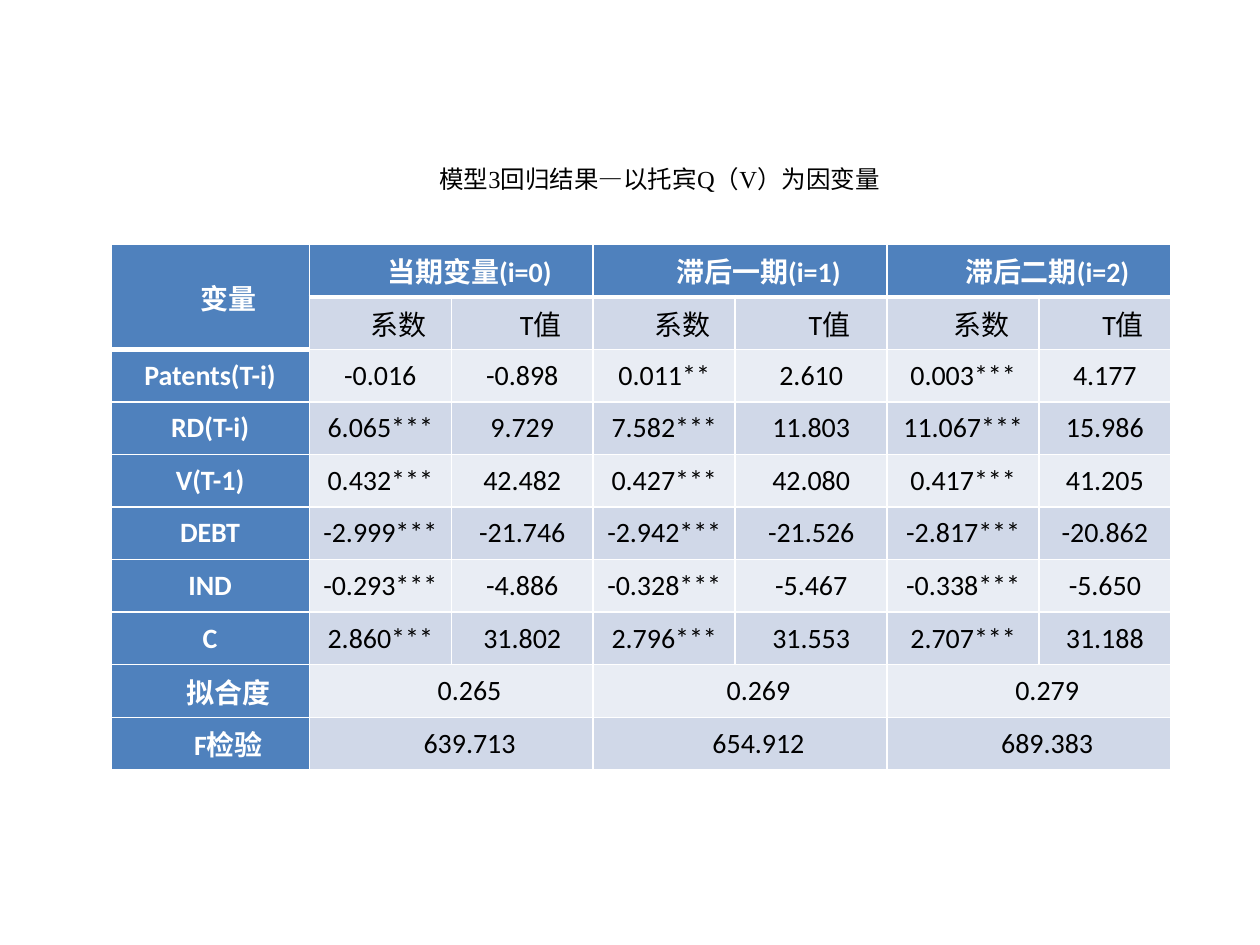
import pptx
import pptx.dml.color
import pptx.enum.text
import pptx.oxml
import pptx.oxml.ns
import pptx.util

WHITE = pptx.dml.color.RGBColor(0xFF, 0xFF, 0xFF)
BLACK = pptx.dml.color.RGBColor(0x00, 0x00, 0x00)
BLUE = pptx.dml.color.RGBColor(0x4F, 0x81, 0xBD)
BANDS = (pptx.dml.color.RGBColor(0xE9, 0xED, 0xF4),
         pptx.dml.color.RGBColor(0xD0, 0xD8, 0xE8))

CAPTION = "模型3回归结果—以托宾Q（V）为因变量"
PERIODS = ["当期变量(i=0)", "滞后一期(i=1)", "滞后二期(i=2)"]
ESTIMATES = [
    ["Patents(T-i)", "-0.016", "-0.898", "0.011**", "2.610", "0.003***", "4.177"],
    ["RD(T-i)", "6.065***", "9.729", "7.582***", "11.803", "11.067***", "15.986"],
    ["V(T-1)", "0.432***", "42.482", "0.427***", "42.080", "0.417***", "41.205"],
    ["DEBT", "-2.999***", "-21.746", "-2.942***", "-21.526", "-2.817***", "-20.862"],
    ["IND", "-0.293***", "-4.886", "-0.328***", "-5.467", "-0.338***", "-5.650"],
    ["C", "2.860***", "31.802", "2.796***", "31.553", "2.707***", "31.188"],
]
FIT_TESTS = [["拟合度", "0.265", "0.269", "0.279"],
             ["F检验", "639.713", "654.912", "689.383"]]
COLUMN_WIDTHS = [15.75, 11.27, 11.27, 11.27, 12.06, 12.06, 10.44]
ROW_HEIGHT = 4.17


def across_periods(label, values):
    """Spread one value per period over that period's two columns."""
    return [label] + [entry for value in values for entry in (value, None)]


class RegressionSlide:
    """Style and slide, measured on a grid of 100 columns by 75 rows."""

    def __init__(self, deck):
        self.column = deck.slide_width / 100
        self.row = deck.slide_height / 75
        self.slide = deck.slides.add_slide(deck.slide_layouts[5])

    def box(self, left, top, width, height):
        return (round(left * self.column), round(top * self.row),
                round(width * self.column), round(height * self.row))

    def apply(self, target, formats):
        for name, value in formats.items():
            setattr(target, name, value)

    def wording(self, frame, words, color, indented, formats):
        paragraph = frame.paragraphs[0]
        paragraph.alignment = pptx.enum.text.PP_ALIGN.CENTER
        if indented:
            paragraph._p.get_or_add_pPr().set("indent", str(int(pptx.util.Inches(0.29))))
        run = paragraph.add_run()
        run.text = words
        self.apply(run.font, formats)
        run.font.color.rgb = color

    def caption(self, words, *place):
        title = self.slide.shapes.title
        self.apply(title, dict(zip(("left", "top", "width", "height"), self.box(*place))))
        self.apply(title.text_frame, {
            "word_wrap": True, "margin_top": 0, "margin_bottom": 0,
            "auto_size": pptx.enum.text.MSO_AUTO_SIZE.NONE,
            "vertical_anchor": pptx.enum.text.MSO_ANCHOR.TOP})
        self.wording(title.text_frame, words, BLACK, True,
                     {"name": "Times New Roman", "size": pptx.util.Pt(14), "bold": False})

    def border(self, cell, edge, points):
        cell._tc.get_or_add_tcPr().append(pptx.oxml.parse_xml(
            f'<a:ln{edge} {pptx.oxml.ns.nsdecls("a")} w="{int(pptx.util.Pt(points))}">'
            f'<a:solidFill><a:srgbClr val="{WHITE}"/></a:solidFill></a:ln{edge}>'))

    def cell(self, cell, words, row, column, indented):
        heading = row == 0 or column == 0
        heading_end = 1 if column == 0 else 0
        self.apply(cell, {
            "margin_left": pptx.util.Inches(0.07), "margin_right": pptx.util.Inches(0.07),
            "margin_top": 0, "margin_bottom": 0,
            "vertical_anchor": pptx.enum.text.MSO_ANCHOR.MIDDLE})
        self.border(cell, "L", 1)
        self.border(cell, "R", 1)
        self.border(cell, "T", 3 if row == heading_end + 1 else 1)
        self.border(cell, "B", 3 if row == heading_end else 1)
        cell.fill.solid()
        cell.fill.fore_color.rgb = BLUE if heading else BANDS[row % 2]
        if words:
            self.wording(cell.text_frame, words, WHITE if heading else BLACK, indented,
                         {"name": "Calibri", "size": pptx.util.Pt(16), "bold": heading})

    def table(self, entries, left, top):
        place = self.box(left, top, sum(COLUMN_WIDTHS), ROW_HEIGHT * len(entries))
        results = self.slide.shapes.add_table(len(entries), len(COLUMN_WIDTHS), *place).table
        for column, width in zip(results.columns, COLUMN_WIDTHS):
            column.width = round(width * self.column)
        for r, line in enumerate(entries):
            results.rows[r].height = round(ROW_HEIGHT * self.row)
            indented = r < 2 or None in line
            for c, words in enumerate(line):
                self.cell(results.cell(r, c), words, r, c, indented)
                if words is None and c:
                    results.cell(r, c - 1).merge(results.cell(r, c))
        results.cell(0, 0).merge(results.cell(1, 0))


def main():
    deck = pptx.Presentation()
    deck.slide_width = pptx.util.Inches(10)
    deck.slide_height = pptx.util.Inches(7.5)
    page = RegressionSlide(deck)
    page.caption(CAPTION, 30.8, 13, 40.2, 6.9)
    headings = [across_periods("变量", PERIODS), [None] + ["系数", "T值"] * len(PERIODS)]
    tests = [across_periods(label, values) for label, *values in FIT_TESTS]
    page.table(headings + ESTIMATES + tests, 8.8, 19.4)
    deck.save("out.pptx")


if __name__ == "__main__":
    main()
